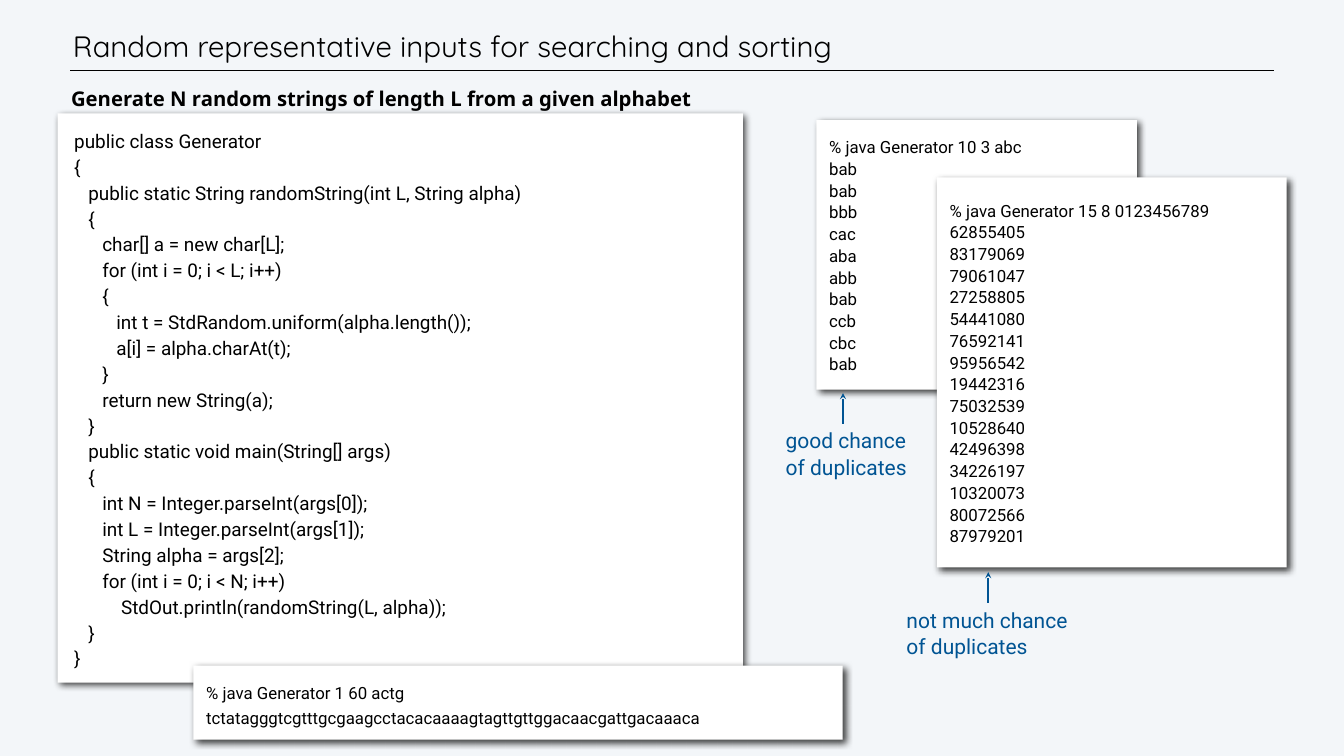
from lxml.etree import SubElement
from pptx import Presentation
from pptx.dml.color import RGBColor
from pptx.enum.shapes import MSO_CONNECTOR, MSO_SHAPE
from pptx.enum.text import MSO_ANCHOR as Anchor, MSO_AUTO_SIZE as AutoSize, PP_ALIGN
from pptx.oxml.ns import qn
from pptx.util import Cm, Pt

COLORS = {"background": "F3F6F9", "panel": "FFFFFF", "text": "000000", "note": "005493"}

GENERATOR_CODE = """public class Generator
{
   public static String randomString(int L, String alpha)
   {
      char[] a = new char[L];
      for (int i = 0; i < L; i++)
      {
         int t = StdRandom.uniform(alpha.length());
         a[i] = alpha.charAt(t);
      }
      return new String(a);
   }
   public static void main(String[] args)
   {
      int N = Integer.parseInt(args[0]);
      int L = Integer.parseInt(args[1]);
      String alpha = args[2];
      for (int i = 0; i < N; i++)
          StdOut.println(randomString(L, alpha));
   }
}"""

ABC_RUN = """% java Generator 10 3 abc
bab
bab
bbb
cac
aba
abb
bab
ccb
cbc
bab"""

DIGITS_RUN = """% java Generator 15 8 0123456789
62855405
83179069
79061047
27258805
54441080
76592141
95956542
19442316
75032539
10528640
42496398
34226197
10320073
80072566
87979201"""

ACTG_RUN = """% java Generator 1 60 actg
tctatagggtcgtttgcgaagcctacacaaaagtagttgttggacaacgattgacaaaca"""

presentation = Presentation()
presentation.slide_width, presentation.slide_height = Cm(67.74), Cm(38.1)
slide = presentation.slides.add_slide(presentation.slide_layouts[6])
slide.background.fill.solid()
slide.background.fill.fore_color.rgb = RGBColor.from_string(COLORS["background"])


def add_text(text, box, size=24, font="Roboto", color="text", bold=False, leading=Pt(36),
             before=0, inset=0.15, anchor=Anchor.TOP, wrap=True, panel=False):
    """Add a text box, or a white panel with a soft shadow, with one paragraph per line."""
    bounds = [Cm(length) for length in box]
    if panel:
        shape = slide.shapes.add_shape(MSO_SHAPE.RECTANGLE, *bounds)
        shape.fill.solid()
        shape.fill.fore_color.rgb = RGBColor.from_string(COLORS["panel"])
        shape.line.fill.background()
        shape.shadow.inherit = False
        effects = shape._element.spPr.find(qn("a:effectLst"))
        shadow = SubElement(effects, qn("a:outerShdw"), blurRad=str(Pt(10)), dist=str(Pt(6)),
                            dir="2700000", algn="tl", rotWithShape="0")
        shade = SubElement(shadow, qn("a:srgbClr"), val=COLORS["text"])
        SubElement(shade, qn("a:alpha"), val="75000")
    else:
        shape = slide.shapes.add_textbox(*bounds)
    frame = shape.text_frame
    frame.word_wrap = wrap
    frame.auto_size = AutoSize.NONE if wrap else AutoSize.SHAPE_TO_FIT_TEXT
    frame.vertical_anchor = anchor
    frame.margin_left = frame.margin_right = frame.margin_top = frame.margin_bottom = Cm(inset)
    for index, line in enumerate(text.split("\n")):
        paragraph = frame.add_paragraph() if index else frame.paragraphs[0]
        paragraph.alignment = PP_ALIGN.LEFT
        paragraph.line_spacing = leading
        if index:
            paragraph.space_before = Pt(before)
        run = paragraph.add_run()
        run.text = line
        run.font.name, run.font.size, run.font.bold = font, Pt(size), bold
        run.font.color.rgb = RGBColor.from_string(COLORS[color])


def add_line(start, end, color, width, arrow=False):
    """Add a straight line, with an arrowhead at its start if wanted."""
    connector = slide.shapes.add_connector(
        MSO_CONNECTOR.STRAIGHT, *[Cm(length) for length in start + end])
    connector.line.color.rgb = RGBColor.from_string(COLORS[color])
    connector.line.width = Pt(width)
    properties = connector._element.spPr
    if arrow:
        SubElement(properties.find(qn("a:ln")), qn("a:headEnd"), type="stealth")
    SubElement(properties, qn("a:effectLst"))


# Title with its rule
add_line((3.53, 3.56), (64.21, 3.56), "text", 1)
add_text("Random representative inputs for searching and sorting", (3.53, 1.07, 57.45, 2.51),
         size=42, font="Quicksand", leading=Pt(50), anchor=Anchor.MIDDLE)

# Program and its heading
add_text(GENERATOR_CODE, (2.9, 5.72, 34.54, 28.68), size=27, leading=1.14,
         inset=0.84, anchor=Anchor.MIDDLE, panel=True)
add_text("Generate N random strings of length L from a given alphabet",
         (3.43, 3.81, 37.72, 1.63), size=29, font="Noto Sans", bold=True, leading=Pt(46))

# Sample runs, the long ones set tighter so that every line stays inside its panel
for output, box, leading in [
    (ABC_RUN, (41.15, 6.05, 16.15, 13.59), 31),
    (DIGITS_RUN, (47.22, 8.94, 17.63, 19.66), 31),
    (ACTG_RUN, (9.75, 33.55, 32.72, 3.73), 36),
]:
    add_text(output, box, leading=Pt(leading), inset=0.64, anchor=Anchor.MIDDLE, panel=True)

# Notes, each with an arrow up to its run
for note, box, arrow_x, arrow_top in [
    ("good chance\nof duplicates", (39.45, 21.41, 6.93, 2.74), 42.49, 19.81),
    ("not much chance\nof duplicates", (45.54, 30.45, 9.45, 2.82), 49.81, 28.83),
]:
    add_text(note, box, size=30, color="note", before=2, wrap=False)
    add_line((arrow_x, arrow_top), (arrow_x, arrow_top + 1.55), "note", 3, arrow=True)

presentation.save("out.pptx")
